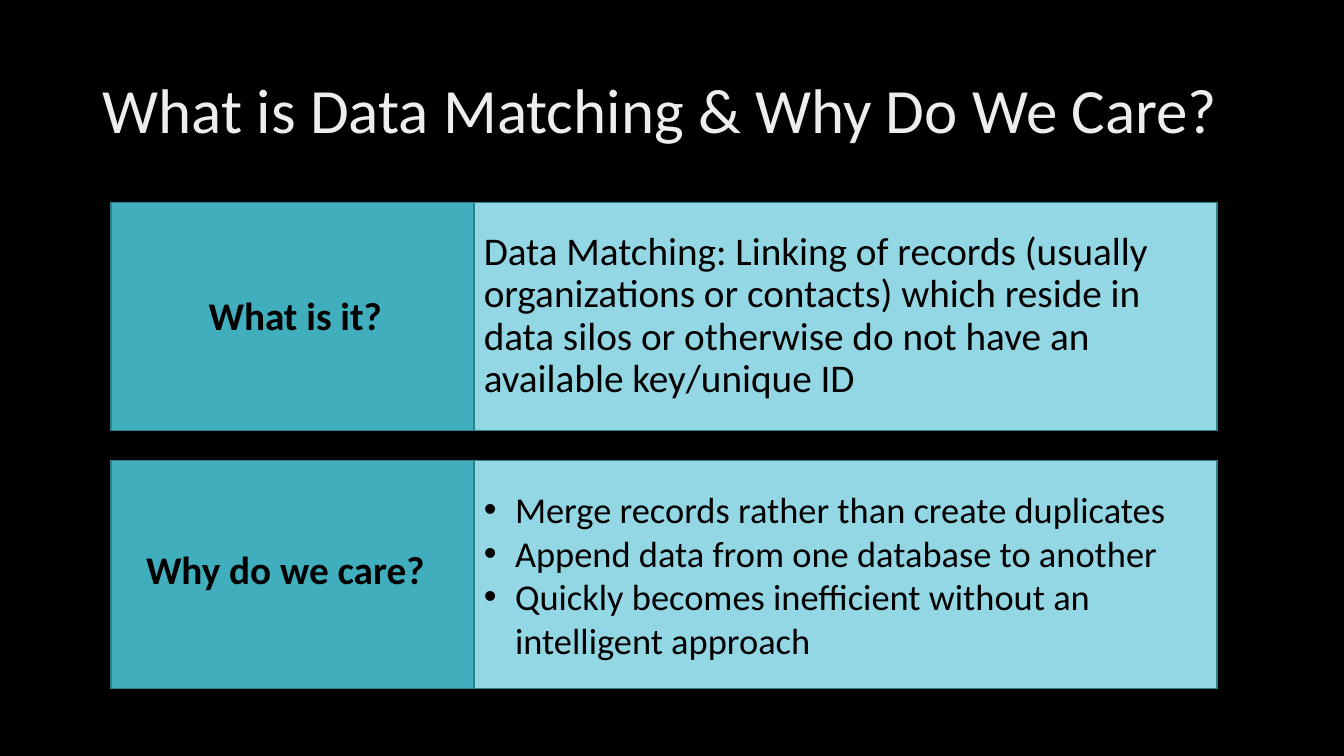
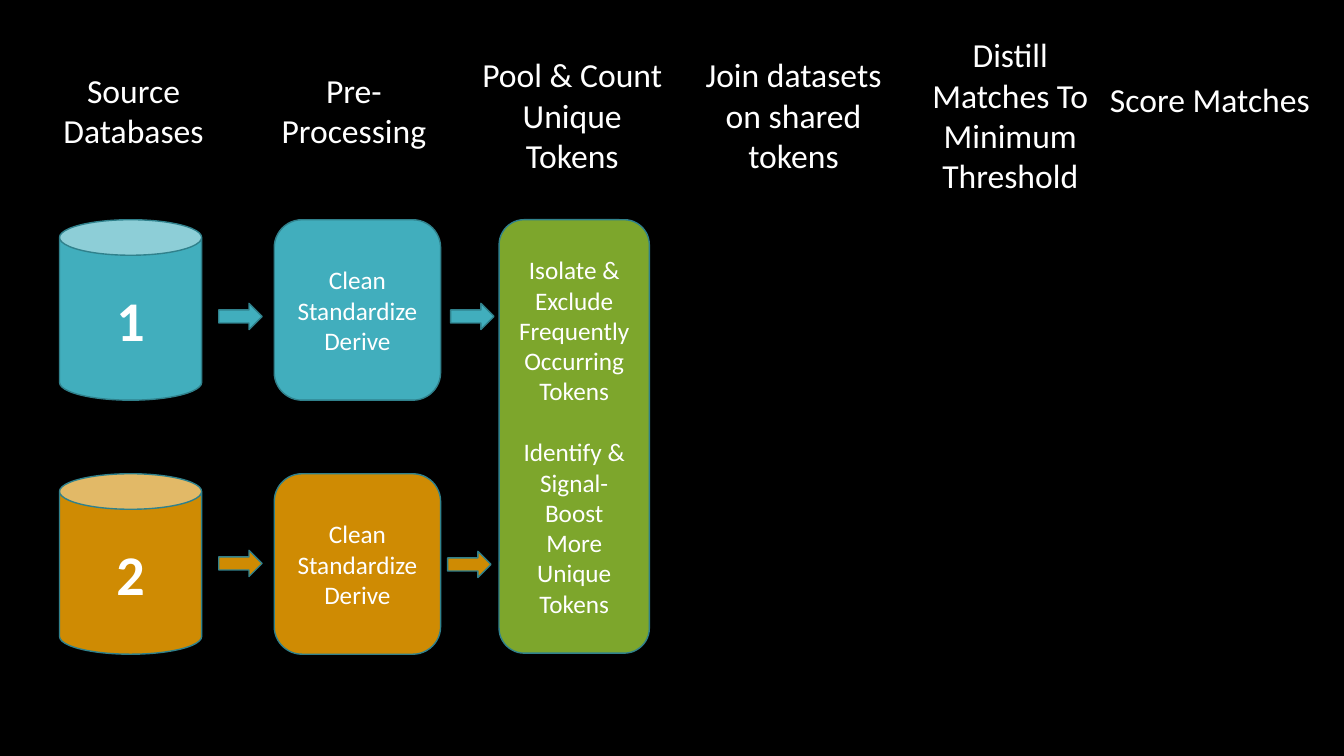
from lxml import etree
from pptx import Presentation
from pptx.dml.color import RGBColor
from pptx.enum import shapes, text
from pptx.oxml import ns
from pptx.util import Inches, Pt

BLACK = RGBColor(0x00, 0x00, 0x00)
WHITE = RGBColor(0xFF, 0xFF, 0xFF)
TITLE_GREY = RGBColor(0xED, 0xED, 0xED)
TEAL = RGBColor(0x41, 0xAE, 0xBD)
LIGHT_TEAL = RGBColor(0x94, 0xD7, 0xE4)
DARK_TEAL = RGBColor(0x30, 0x81, 0x8C)
ORANGE = RGBColor(0xCF, 0x8B, 0x03)
GREEN = RGBColor(0x7D, 0xA6, 0x2C)
FONT = "Calibri"

SHAPE = shapes.MSO_SHAPE
LEFT, CENTER = text.PP_ALIGN.LEFT, text.PP_ALIGN.CENTER
TOP, MIDDLE = text.MSO_ANCHOR.TOP, text.MSO_ANCHOR.MIDDLE


def write(sp, lines, size, color, bold=False, align=CENTER, anchor=MIDDLE,
          spacing=None, gap=None, bullet=False):
    """Fill a shape with paragraphs; gap is the space between them in points."""
    tf = sp.text_frame
    tf.word_wrap = True
    tf.vertical_anchor = anchor
    for i, line in enumerate(lines):
        p = tf.add_paragraph() if i else tf.paragraphs[0]
        p.alignment = align
        if spacing:
            p.line_spacing = spacing
        if gap and i:
            p.space_before = Pt(gap)
        if bullet:
            add_bullet(p)
        r = p.add_run()
        r.text = line
        r.font.name = FONT
        r.font.size = Pt(size)
        r.font.bold = bold
        r.font.color.rgb = color


def add_bullet(p, indent=0.31):
    pPr = p._p.get_or_add_pPr()
    pPr.set("marL", str(Inches(indent)))
    pPr.set("indent", str(-Inches(indent)))
    font = etree.SubElement(pPr, ns.qn("a:buFont"))
    font.set("typeface", "Arial")
    etree.SubElement(pPr, ns.qn("a:buChar")).set("char", "•")


def add_block(s, kind, x, y, w, h, fill):
    sp = s.shapes.add_shape(kind, Inches(x), Inches(y), Inches(w), Inches(h))
    sp.shadow.inherit = False
    sp.fill.solid()
    sp.fill.fore_color.rgb = fill
    sp.line.color.rgb = DARK_TEAL
    sp.line.width = Pt(1)
    return sp


def add_text(s, x, y, w, h, lines, size, color, **style):
    sp = s.shapes.add_textbox(Inches(x), Inches(y), Inches(w), Inches(h))
    write(sp, lines, size, color, **style)


def add_slide(prs):
    return prs.slides.add_slide(prs.slide_layouts[6])


def add_title(s, title):
    add_text(s, 0.92, 0.4, 11.5, 1.45, [title], 45, TITLE_GREY,
             align=LEFT, spacing=0.9)


def add_answer_panel(s, x, y, question, label_dx, label_dy, lines, size, **style):
    """Question on the dark left part, answer on the light right part."""
    w, h, question_w = 10.97, 2.26, 3.6
    add_block(s, SHAPE.RECTANGLE, x, y, w, h, TEAL)
    answer = add_block(s, SHAPE.RECTANGLE, x + question_w, y, w - question_w, h,
                       LIGHT_TEAL)
    write(answer, lines, size, BLACK, align=LEFT, **style)
    add_text(s, x + label_dx, y + label_dy, 3.11, 0.57, [question], 28, BLACK,
             bold=True, align=LEFT, anchor=TOP, spacing=0.9)


def add_source_row(s, x, y, number, color, arrows):
    """Database, its pre-processing step and the arrows, given as (dx, dy)."""
    h = 1.79
    database = add_block(s, SHAPE.CAN, x, y, 1.41, h, color)
    write(database, [number], 40, WHITE, bold=True)
    step = add_block(s, SHAPE.ROUNDED_RECTANGLE, x + 2.13, y, 1.65, h, color)
    write(step, ["Clean", "Standardize", "Derive"], 18, WHITE)
    for dx, dy in arrows:
        add_block(s, SHAPE.RIGHT_ARROW, x + dx, y + dy, 0.43, 0.26, color)


def add_token_pool(s, x, y):
    pool = add_block(s, SHAPE.ROUNDED_RECTANGLE, x, y, 1.49, 4.3, GREEN)
    write(pool, ["Isolate & Exclude Frequently Occurring Tokens",
                 "Identify & Signal-Boost More Unique Tokens"],
          18, WHITE, gap=22)


def add_headings(s):
    for x, y, w, heading in [
        (0.26, 0.64, 2.13, "Source Databases"),
        (2.42, 0.64, 2.18, "Pre-Processing"),
        (4.64, 0.49, 2.07, "Pool & Count Unique Tokens"),
        (6.78, 0.49, 2.18, "Join datasets on shared tokens"),
        (8.93, 0.29, 2.18, "Distill Matches To Minimum Threshold"),
        (10.91, 0.73, 2.18, "Score Matches"),
    ]:
        add_text(s, x, y, w, 0.91, [heading], 24, WHITE, anchor=TOP)


def build_definition_slide(prs):
    s = add_slide(prs)
    add_title(s, "What is Data Matching & Why Do We Care?")
    add_answer_panel(
        s, 1.1, 2.01, "What is it?", 0.87, 0.88,
        ["Data Matching: Linking of records (usually organizations or contacts) "
         "which reside in data silos or otherwise do not have an available "
         "key/unique ID"],
        28, spacing=0.9)
    add_answer_panel(
        s, 1.1, 4.57, "Why do we care?", 0.25, 0.84,
        ["Merge records rather than create duplicates",
         "Append data from one database to another",
         "Quickly becomes inefficient without an intelligent approach"],
        26, bullet=True)


def build_process_slide(prs):
    s = add_slide(prs)
    add_headings(s)
    add_source_row(s, 0.59, 2.18, "1", TEAL, [(1.58, 0.83), (3.88, 0.83)])
    add_source_row(s, 0.59, 4.7, "2", ORANGE, [(1.58, 0.76), (3.85, 0.77)])
    add_token_pool(s, 4.95, 2.18)


def main():
    prs = Presentation()
    prs.slide_width, prs.slide_height = Inches(13.33), Inches(7.5)
    background = prs.slide_master.background.fill
    background.solid()
    background.fore_color.rgb = BLACK
    build_definition_slide(prs)
    build_process_slide(prs)
    prs.save("out.pptx")


if __name__ == "__main__":
    main()
